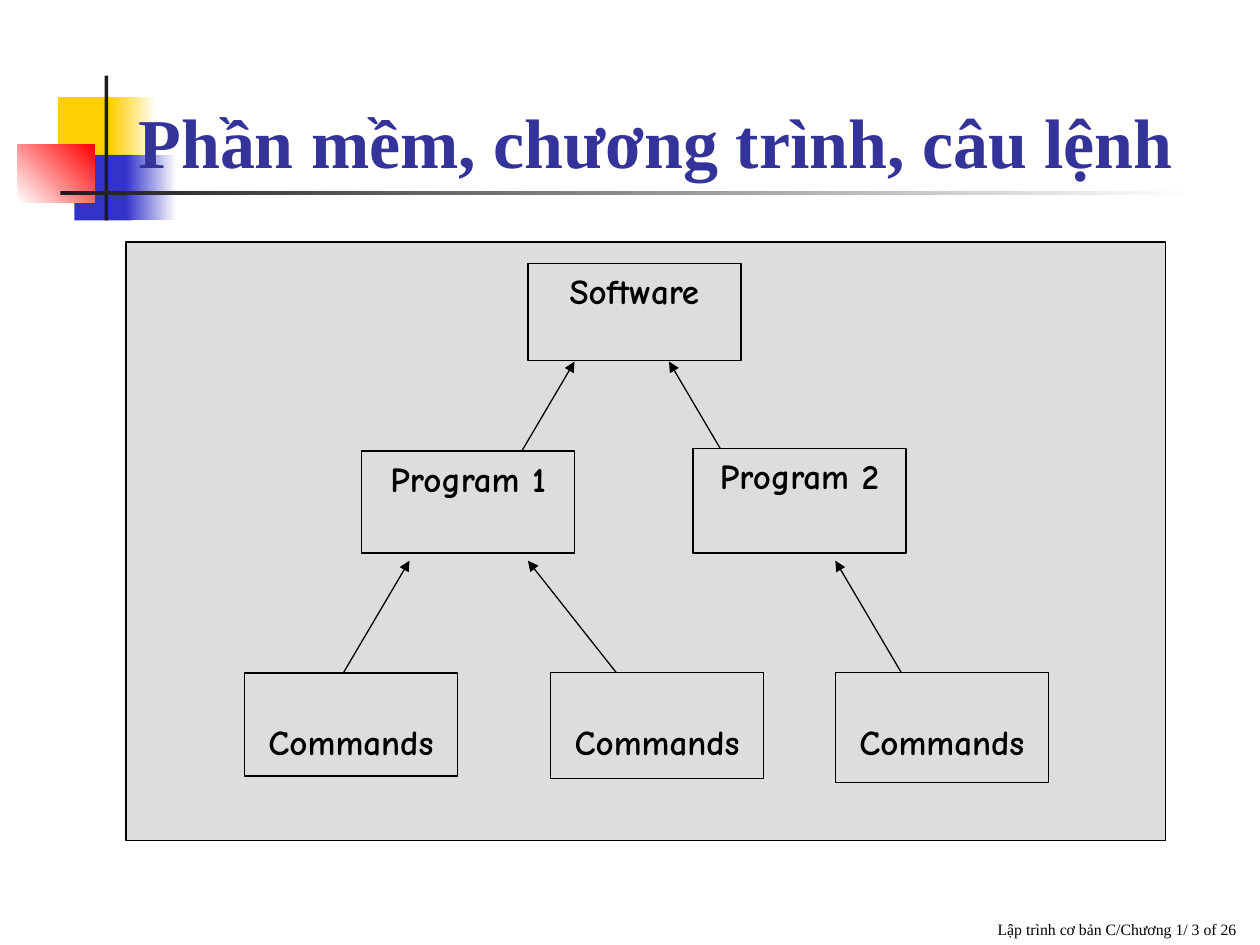
"""Build a slide that shows software as a tree of programs and commands."""
import pptx
import pptx.dml.color
import pptx.enum.shapes
import pptx.enum.text
import pptx.util
from lxml import etree
from pptx.oxml.ns import qn

Inches = pptx.util.Inches
Pt = pptx.util.Pt
ALIGN = pptx.enum.text.PP_ALIGN
ANCHOR = pptx.enum.text.MSO_ANCHOR
HEX = {
    "yellow": "FFCF01", "blue": "3333CC", "red": "FF0000", "white": "FFFFFF",
    "dark": "1C1C1C", "title": "333399", "grey": "DDDDDD", "black": "000000",
}
SERIF = "Times New Roman"
HAND = "Comic Neue"
DECOR = [
    (0.46, 0.77, 0.48, 0.52, ["yellow"], 0),
    (0.88, 0.77, 0.36, 0.52, ["yellow", "white"], 0),
    (0.59, 1.23, 0.46, 0.52, ["blue"], 0),
    (1, 1.23, 0.4, 0.52, ["blue", "white"], 0),
    (0.14, 1.15, 0.61, 0.46, ["white", "red"], 45),
    (0.83, 0.6, 0.03, 1.15, ["dark"], 0),
    (0.48, 1.52, 9, 0.03, ["dark", "white"], 0),
]
ARROWS = [
    (2.69, 5.4, 3.25, 4.45), (4.94, 5.4, 4.19, 4.45), (7.19, 5.4, 6.63, 4.45),
    (4, 3.82, 4.56, 2.87), (5.87, 3.82, 5.31, 2.87),
]
NODES = [
    ("Program 2", 5.5, 3.56, 0.83, 0.05),
    ("Program 1", 2.87, 3.58, 0.81, 0.05),
    ("Commands", 1.94, 5.34, 0.82, 0.38),
    ("Commands", 4.37, 5.34, 0.84, 0.38),
    ("Commands", 6.63, 5.34, 0.87, 0.38),
]


def color(name):
    return pptx.dml.color.RGBColor.from_string(HEX[name])


def add_rect(slide, x, y, w, h, fills, angle=0, line=False):
    kind = pptx.enum.shapes.MSO_SHAPE.RECTANGLE
    rect = slide.shapes.add_shape(kind, Inches(x), Inches(y), Inches(w), Inches(h))
    rect.shadow.inherit = False
    if len(fills) == 1:
        rect.fill.solid()
        rect.fill.fore_color.rgb = color(fills[0])
    else:
        rect.fill.gradient()
        rect.fill.gradient_angle = angle
        for stop, name in zip(rect.fill.gradient_stops, fills):
            stop.color.rgb = color(name)
    if line:
        rect.line.color.rgb = color("black")
        rect.line.width = Pt(0.75)
    else:
        rect.line.fill.background()
    return rect


def set_text(shape, text, face, size, tint, bold, align, anchor):
    frame = shape.text_frame
    frame.word_wrap = True
    frame.vertical_anchor = anchor
    para = frame.paragraphs[0]
    para.text = text
    para.alignment = align
    para.font.name = face
    para.font.size = Pt(size)
    para.font.bold = bold
    para.font.color.rgb = color(tint)


def add_label(slide, x, y, w, h, *style):
    box = slide.shapes.add_textbox(Inches(x), Inches(y), Inches(w), Inches(h))
    set_text(box, *style)


def add_node(slide, text, x, y, h, inset):
    node = add_rect(slide, x, y, 1.69, h, ["grey"], line=True)
    set_text(node, text, HAND, 20, "black", True, ALIGN.CENTER, ANCHOR.TOP)
    node.text_frame.margin_top = Inches(inset)


def add_arrow(slide, *ends):
    kind = pptx.enum.shapes.MSO_CONNECTOR.STRAIGHT
    arrow = slide.shapes.add_connector(kind, *map(Inches, ends))
    arrow.line.color.rgb = color("black")
    arrow.line.width = Pt(0.75)
    etree.SubElement(arrow.line._get_or_add_ln(), qn("a:tailEnd"), type="triangle")
    etree.SubElement(arrow._element.spPr, qn("a:effectLst"))


def main():
    deck = pptx.Presentation()
    deck.slide_width, deck.slide_height = Inches(10), Inches(7.5)
    slide = deck.slides.add_slide(deck.slide_layouts[6])
    for part in DECOR:
        add_rect(slide, *part)
    add_label(slide, 3.83, 7, 6.08, 0.5, "Lập trình cơ bản C/Chương 1/ 3 of 26",
              SERIF, 9, "black", False, ALIGN.RIGHT, ANCHOR.BOTTOM)
    add_label(slide, 1, 0.58, 8.75, 0.92, "Phần mềm, chương trình, câu lệnh",
              SERIF, 40, "title", True, ALIGN.LEFT, ANCHOR.BOTTOM)
    add_rect(slide, 1, 1.92, 8.25, 4.75, ["grey"], line=True)
    add_node(slide, "Software", 4.19, 2.09, 0.77, 0.05)
    for ends in ARROWS:
        add_arrow(slide, *ends)
    for node in NODES:
        add_node(slide, *node)
    deck.save("out.pptx")


if __name__ == "__main__":
    main()
